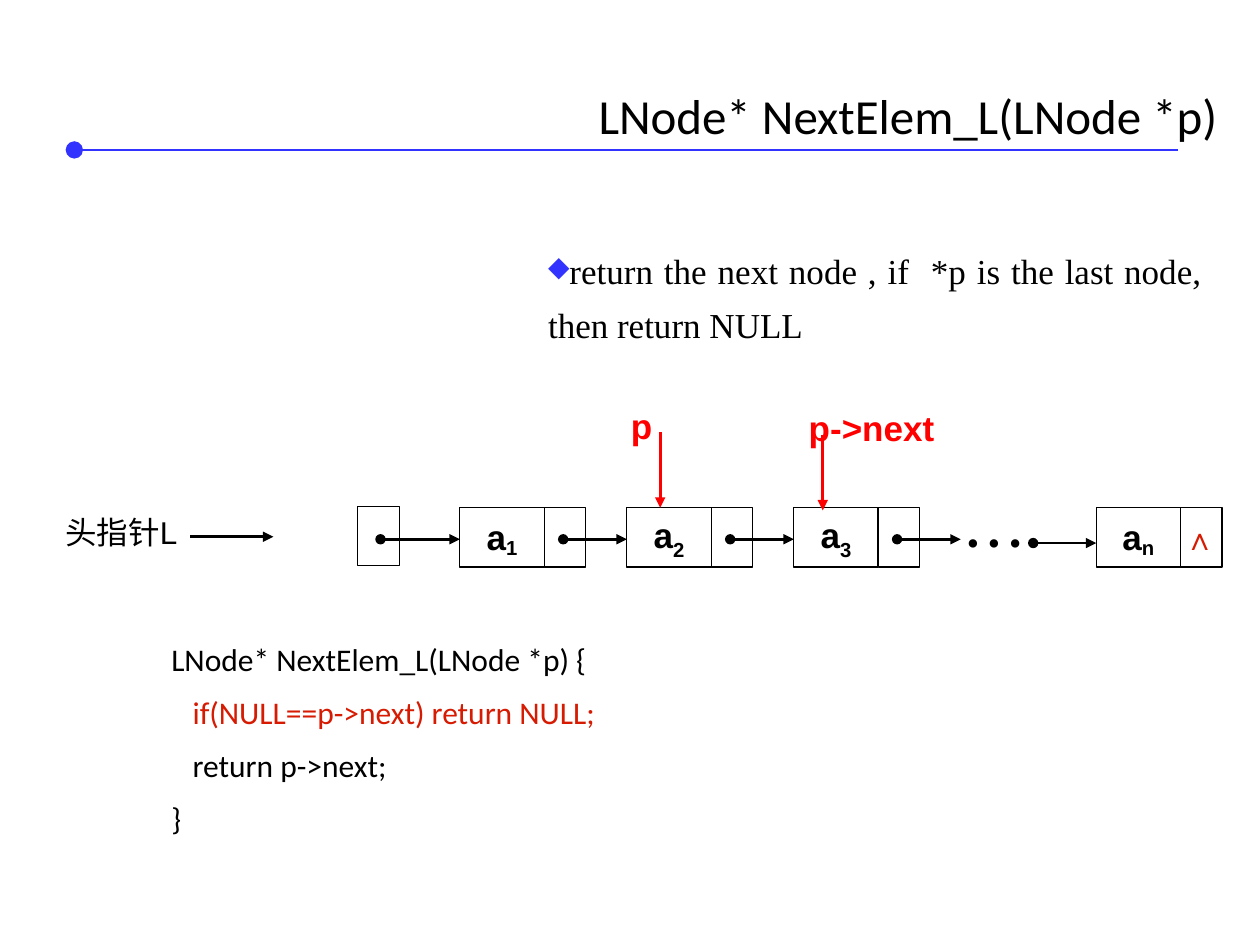
from lxml.etree import SubElement
from pptx import Presentation
from pptx.dml.color import RGBColor
from pptx.enum.shapes import MSO_CONNECTOR, MSO_SHAPE
from pptx.enum.text import MSO_ANCHOR, MSO_AUTO_SIZE, PP_ALIGN
from pptx.oxml.ns import qn
from pptx.util import Inches, Pt

COLORS = {"black": "000000", "white": "FFFFFF", "blue": "3333FF", "red": "FF0000", "code": "D61B02"}
COLUMNS, ROWS = 100, 75
PLAIN_INSETS = (0.1, 0.05, 0.1, 0.05)
BODY_INSETS = (0.2, 0.05, 0.04, 0.05)


class ListSlide:
    def __init__(self, deck):
        self.column = deck.slide_width / COLUMNS
        self.row = deck.slide_height / ROWS
        self.page = deck.slides.add_slide(deck.slide_layouts[5])
        self.shapes = self.page.shapes

    def place(self, left, top, width, height):
        return (round(left * self.column), round(top * self.row),
                round(width * self.column), round(height * self.row))

    def color(self, name):
        return RGBColor.from_string(COLORS[name])

    def format_frame(self, frame, insets=PLAIN_INSETS, wrap=True, anchor=MSO_ANCHOR.TOP):
        frame.auto_size = MSO_AUTO_SIZE.NONE
        frame.word_wrap = wrap
        frame.vertical_anchor = anchor
        frame.margin_left, frame.margin_top, frame.margin_right, frame.margin_bottom = map(Inches, insets)

    def format_para(self, para, size, font="Arial", color="black", bold=False,
                    align=PP_ALIGN.LEFT, spacing=None):
        para.alignment = align
        if spacing:
            para.line_spacing = spacing
        para.font.size = Pt(size)
        para.font.name = font
        para.font.bold = bold
        para.font.color.rgb = self.color(color)

    def title(self, text, area):
        box = self.shapes.title
        box.left, box.top, box.width, box.height = self.place(*area)
        box.text_frame.text = text
        self.format_frame(box.text_frame, wrap=False, anchor=MSO_ANCHOR.MIDDLE)
        self.format_para(box.text_frame.paragraphs[0], 28, "Calibri")

    def text(self, text, area, size, insets=PLAIN_INSETS, wrap=True, **style):
        box = self.shapes.add_textbox(*self.place(*area))
        self.format_frame(box.text_frame, insets, wrap)
        para = box.text_frame.paragraphs[0]
        para.text = text
        self.format_para(para, size, **style)
        return box

    def bullet(self, text, area):
        box = self.shapes.add_textbox(*self.place(*area))
        self.format_frame(box.text_frame, BODY_INSETS)
        para = box.text_frame.paragraphs[0]
        para.text = text
        para.space_after = Pt(6)
        para.line_spacing = 1.3
        properties = para._p.get_or_add_pPr()
        SubElement(SubElement(properties, qn("a:buClr")), qn("a:srgbClr"), val=COLORS["blue"])
        SubElement(properties, qn("a:buSzPct"), val="80000")
        SubElement(properties, qn("a:buChar"), char="◆")
        self.format_para(para, 20, "Times New Roman", align=PP_ALIGN.JUSTIFY)

    def code(self, lines, area):
        box = self.shapes.add_textbox(*self.place(*area))
        frame = box.text_frame
        self.format_frame(frame, BODY_INSETS)
        for index, (line, color) in enumerate(lines):
            para = frame.add_paragraph() if index else frame.paragraphs[0]
            para.text = line
            self.format_para(para, 18, "Calibri", color, spacing=1.4)

    def cell(self, left, top, width):
        box = self.shapes.add_shape(MSO_SHAPE.RECTANGLE, *self.place(left, top, width, 4.7))
        box.shadow.inherit = False
        box.fill.solid()
        box.fill.fore_color.rgb = self.color("white")
        box.line.color.rgb = self.color("black")
        box.line.width = Pt(0.75)
        return box

    def node(self, left, top, subscript, baseline):
        data = self.cell(left, top, 6.7)
        pointer = self.cell(left + 6.7, top, 3.3)
        self.format_frame(data.text_frame, wrap=False, anchor=MSO_ANCHOR.MIDDLE)
        para = data.text_frame.paragraphs[0]
        para.add_run().text = "a"
        span = para.add_run()
        span.text = subscript
        span._r.get_or_add_rPr().set("baseline", str(baseline * 1000))
        self.format_para(para, 20, bold=True, align=PP_ALIGN.CENTER)
        self.shapes.add_group_shape([data, pointer])

    def line(self, start, end, color="black", head=None, tail="triangle", size="med"):
        x1, y1, x2, y2 = self.place(*start, *end)
        connector = self.shapes.add_connector(MSO_CONNECTOR.STRAIGHT, x1, y1, x2, y2)
        connector.line.color.rgb = self.color(color)
        connector.line.width = Pt(1.5)
        outline = connector.line._get_or_add_ln()
        for tag, kind in (("a:headEnd", head), ("a:tailEnd", tail)):
            if kind:
                SubElement(outline, qn(tag), type=kind, w=size, len=size)
        SubElement(connector._element.spPr, qn("a:effectLst"))


def main():
    deck = Presentation()
    deck.slide_width, deck.slide_height = Inches(10), Inches(7.5)
    slide = ListSlide(deck)

    slide.line((5.9, 11.9), (93.5, 11.9), "blue", head="oval", tail=None, size="lg")
    slide.title("LNode* NextElem_L(LNode *p)", (46.5, 5.9, 51.6, 6.4))
    slide.bullet("return the next node , if  *p is the last node, then return NULL", (41.5, 18.3, 54.3, 9))
    slide.code([
        ("LNode* NextElem_L(LNode *p) {", "black"),
        ("   if(NULL==p->next) return NULL;", "code"),
        ("   return p->next;", "black"),
        ("}", "black"),
    ], (11.6, 49.1, 76.3, 20.8))

    slide.text("头指针L", (4.2, 40.2, 10.9, 4), 18)
    slide.line((15.1, 42.6), (21.7, 42.6))

    first, pitch, top, middle = 36.5, 13.25, 40.3, 42.8
    slide.cell(28.4, 40.2, 3.3)
    for index, baseline in enumerate((-16, -25, -25)):
        slide.node(first + index * pitch, top, str(index + 1), baseline)
    slide.node(87, top, "n", -16)

    slide.line((30.2, middle), (first, middle), head="oval")
    for index in range(3):
        left = first + index * pitch
        slide.line((left + 8.2, middle), (left + pitch, middle), head="oval")
    slide.line((82, 43.1), (87, 43.1), head="oval")

    slide.text("• • •", (74.3, 41.2, 9.2, 3.3), 20, (0.1, 0.01, 0.1, 0.05), False,
               font="Times New Roman", align=PP_ALIGN.CENTER)
    slide.text("∧", (93, 40.7, 4.5, 4), 18, wrap=False, color="code", bold=True)

    for label, left, label_top, width, arrow in (("p", 49.1, 31.6, 4, 52.4), ("p->next", 63.2, 31.8, 16.9, 65.3)):
        slide.text(label, (left, label_top, width, 4.3), 20, color="red", bold=True)
        slide.line((arrow, label_top + 2.7), (arrow, label_top + 8.7), "red")

    deck.save("out.pptx")


if __name__ == "__main__":
    main()
